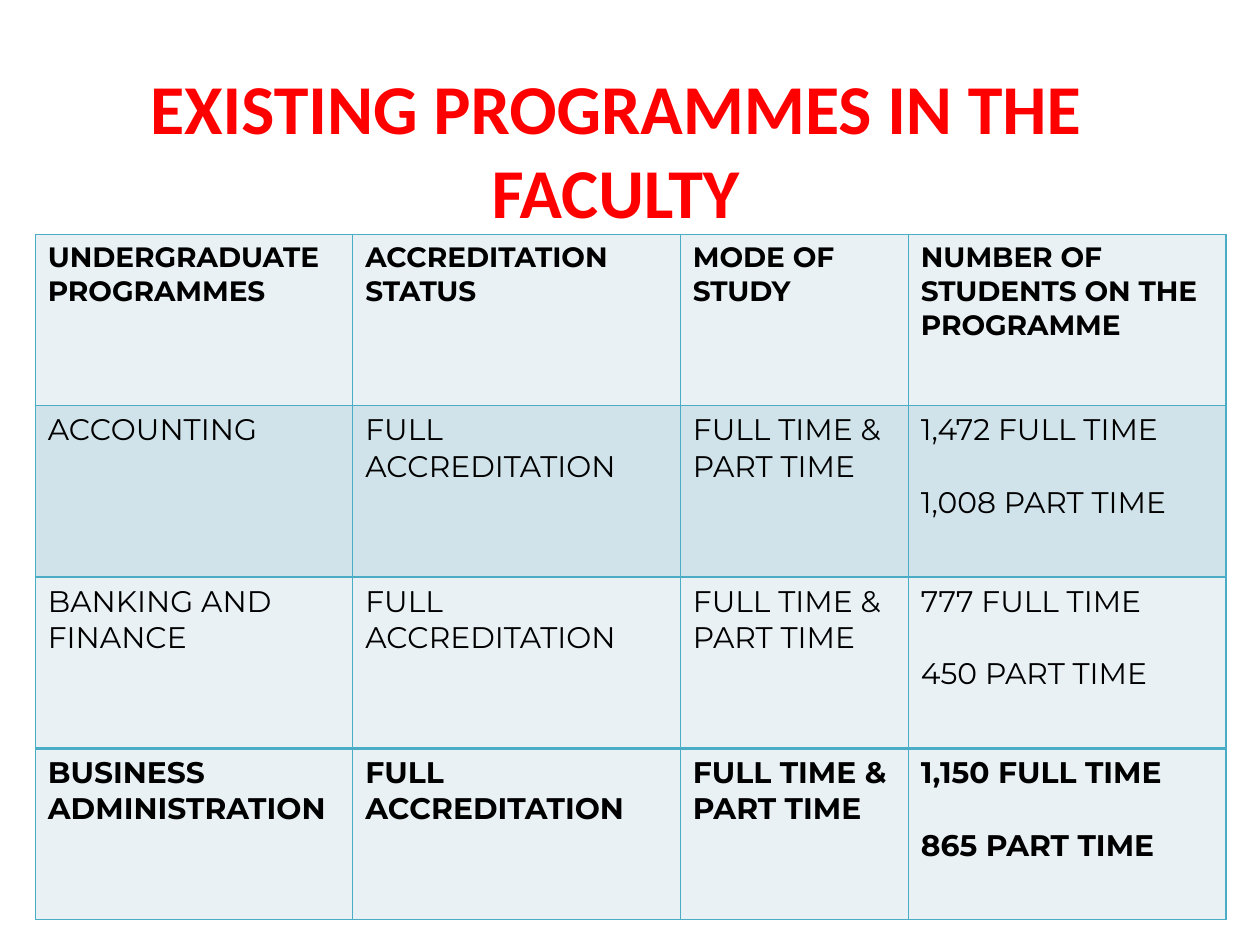
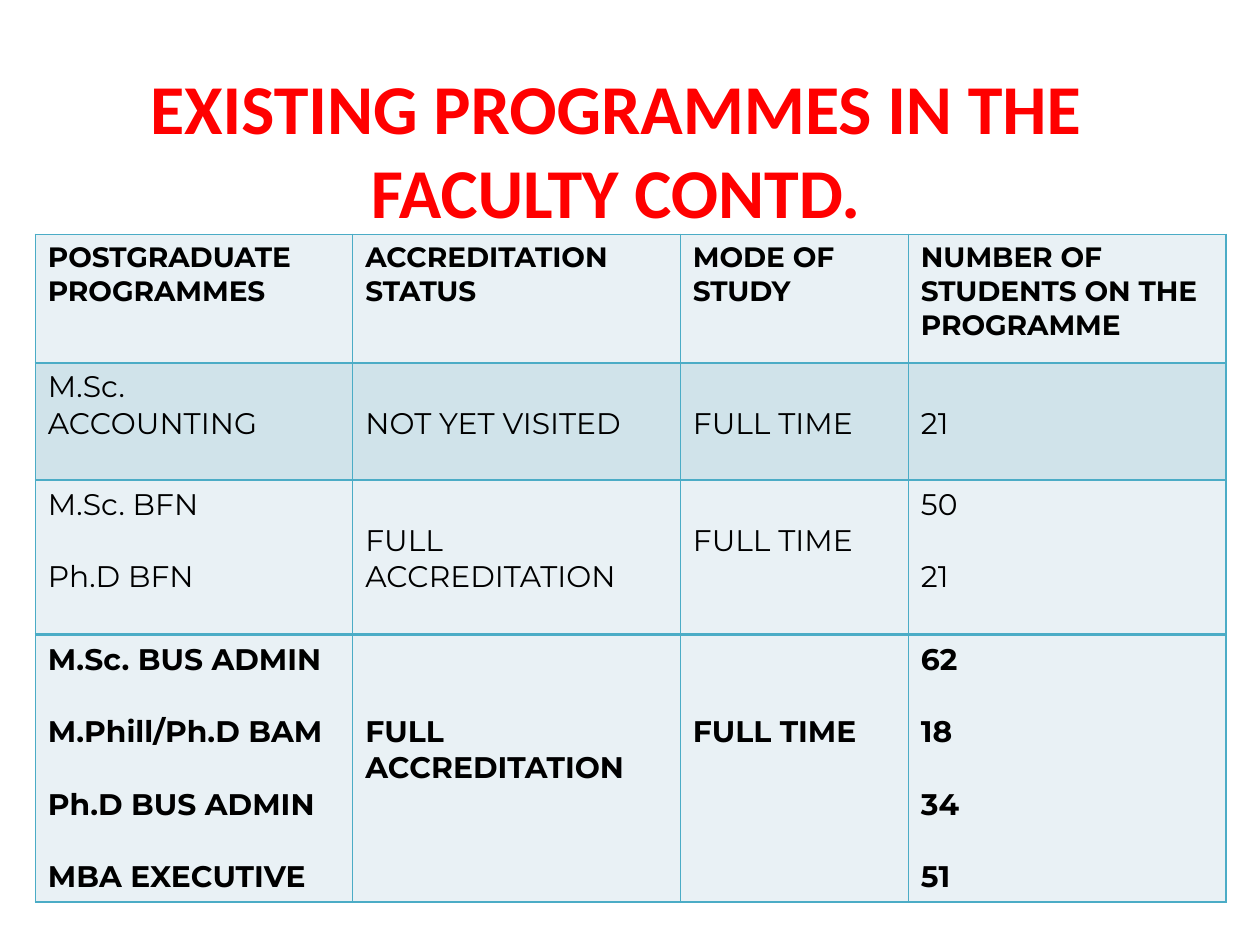
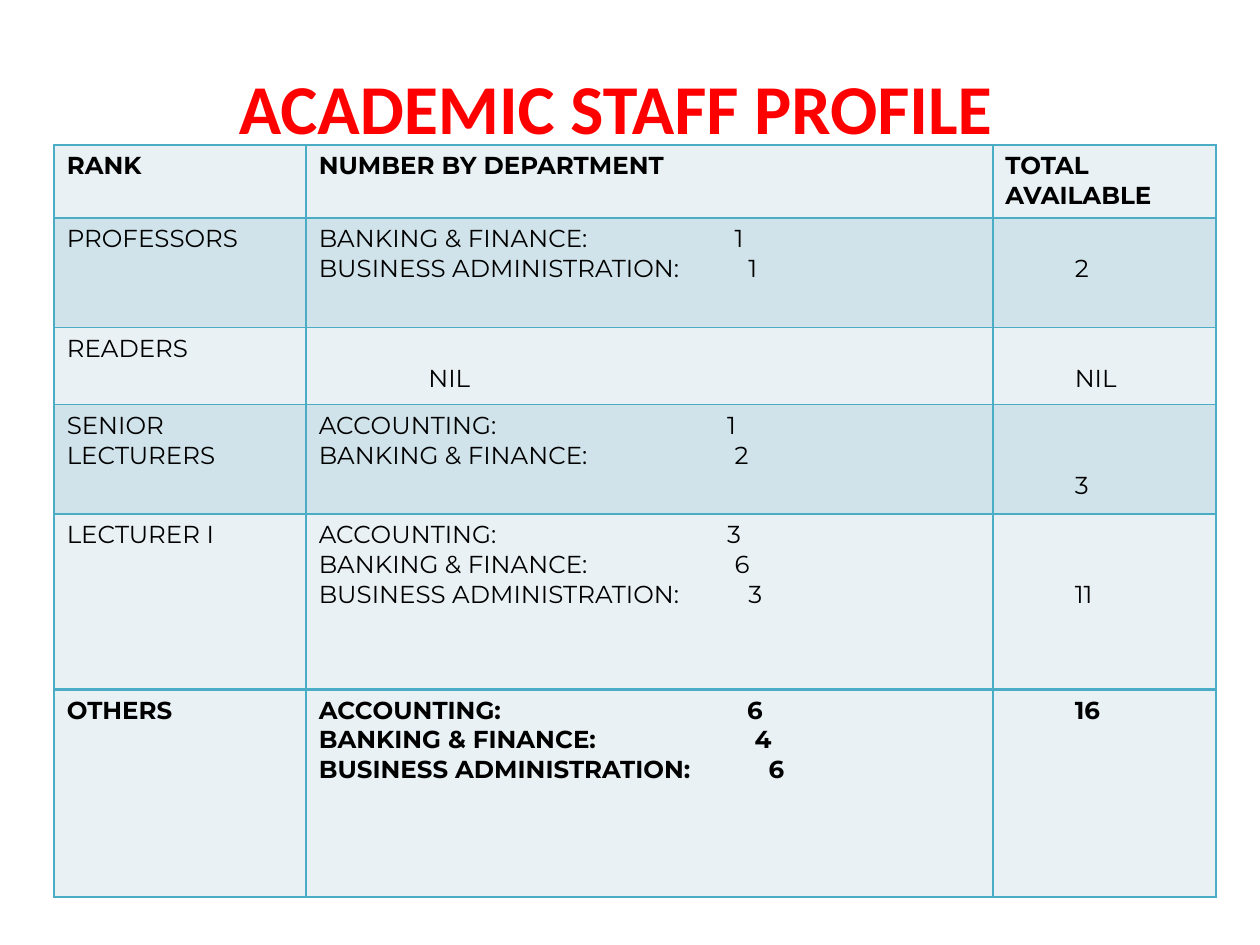
from lxml import etree
from pptx import Presentation
from pptx.dml.color import RGBColor
from pptx.enum import text
from pptx.oxml import ns
from pptx.util import Inches, Pt

RED = RGBColor(0xFF, 0x00, 0x00)
BLACK = RGBColor(0x00, 0x00, 0x00)
PALE = RGBColor(0xE9, 0xF1, 0xF5)
BAND = RGBColor(0xD0, 0xE3, 0xEA)
BORDER = RGBColor(0x4B, 0xAC, 0xC6)

TITLE_FONT = {"name": "Calibri", "size": Pt(40), "bold": True}
LINE_SPACING = 1.22  # line height of the table font, in font sizes
TOTAL_INDENT = 0.55
BOLD_SHIFT = 0.16
NUMBER_TABS = {"ACCOUNTING:": 3.24, "BANKING & FINANCE:": 3.3,
               "BUSINESS ADMINISTRATION:": 3.41}

PROGRAMME_HEADS = ["ACCREDITATION STATUS", "MODE OF STUDY",
                   "NUMBER OF STUDENTS ON THE PROGRAMME"]
PROGRAMME_TABLE = {"left": 0.28, "top": 1.86, "columns": [2.52, 2.6, 1.81, 2.52],
                   "head_size": 16, "size": 17, "gap_lines": 1}
FULL = "FULL ACCREDITATION"
BOTH_MODES = "FULL TIME & PART TIME"

# A cell is its text, or (text, lines left free above, indent in inches).
PAGES = [
    {**PROGRAMME_TABLE,
     "title": "EXISTING PROGRAMMES IN THE FACULTY",
     "heights": [1.36] * 4,
     "rows": [
         ["UNDERGRADUATE PROGRAMMES", *PROGRAMME_HEADS],
         ["ACCOUNTING", FULL, BOTH_MODES, "1,472 FULL TIME\n1,008 PART TIME"],
         ["BANKING AND FINANCE", FULL, BOTH_MODES, "777 FULL TIME\n450 PART TIME"],
         ["BUSINESS ADMINISTRATION", FULL, BOTH_MODES, "1,150 FULL TIME\n865 PART TIME"],
     ]},
    {**PROGRAMME_TABLE,
     "title": "EXISTING PROGRAMMES IN THE FACULTY CONTD.",
     "heights": [1.02, 0.93, 1.23, 2.12],
     "rows": [
         ["POSTGRADUATE PROGRAMMES", *PROGRAMME_HEADS],
         ["M.Sc. ACCOUNTING", ("NOT YET VISITED", 1, 0), ("FULL TIME", 1, 0), ("21", 1, 0)],
         ["M.Sc. BFN\nPh.D BFN", (FULL, 1, 0), ("FULL TIME", 1, 0), "50\n21"],
         ["M.Sc. BUS ADMIN\nM.Phill/Ph.D BAM\nPh.D BUS ADMIN\nMBA EXECUTIVE",
          (FULL, 2, 0), ("FULL TIME", 2, 0), "62\n18\n34\n51"],
     ]},
    {"title": "ACADEMIC STAFF PROFILE",
     "left": 0.43, "top": 1.15, "columns": [2, 5.45, 1.77],
     "head_size": 14, "size": 14, "gap_lines": 0,
     "heights": [0.58, 0.87, 0.61, 0.87, 1.39, 1.65],
     "rows": [
         ["RANK", "NUMBER BY DEPARTMENT", "TOTAL AVAILABLE"],
         ["PROFESSORS", "BANKING & FINANCE:\t1\nBUSINESS ADMINISTRATION:\t1",
          ("2", 1, TOTAL_INDENT)],
         ["READERS", ("NIL", 1, 0.87), ("NIL", 1, TOTAL_INDENT)],
         ["SENIOR LECTURERS", "ACCOUNTING:\t1\nBANKING & FINANCE:\t2",
          ("3", 2, TOTAL_INDENT)],
         ["LECTURER I",
          "ACCOUNTING:\t3\nBANKING & FINANCE:\t6\nBUSINESS ADMINISTRATION:\t3",
          ("11", 2, TOTAL_INDENT)],
         ["OTHERS",
          "ACCOUNTING:\t6\nBANKING & FINANCE:\t4\nBUSINESS ADMINISTRATION:\t6",
          ("16", 0, TOTAL_INDENT)],
     ]},
]


def set_borders(cell, widths):
    """Put solid edges, with widths in points by side, before the cell's fill."""
    properties = cell._tc.get_or_add_tcPr()
    for index, (side, width) in enumerate(widths.items()):
        edge = etree.Element(ns.qn(f"a:ln{side}"), w=str(Pt(width)))
        fill = etree.SubElement(edge, ns.qn("a:solidFill"))
        etree.SubElement(fill, ns.qn("a:srgbClr"), val=str(BORDER))
        properties.insert(index, edge)


def fill_cell(cell, lines, font, gap, tab_shift):
    """Write one paragraph a line, with a tab stop where a number follows."""
    frame = cell.text_frame
    for index, line in enumerate(lines):
        para = frame.add_paragraph() if index else frame.paragraphs[0]
        if index:
            para.space_before = gap
        label, tab, _ = line.partition("\t")
        if tab:
            stops = etree.SubElement(para._p.get_or_add_pPr(), ns.qn("a:tabLst"))
            position = Inches(NUMBER_TABS[label] + tab_shift)
            etree.SubElement(stops, ns.qn("a:tab"), pos=str(position), algn="l")
        span = para.add_run()
        span.text = line
        for name, value in font.items():
            setattr(span.font, name, value)
        span.font.color.rgb = BLACK


deck = Presentation()
deck.slide_width, deck.slide_height = Inches(10), Inches(7.5)

for content in PAGES:
    page = deck.slides.add_slide(deck.slide_layouts[5])
    title = page.shapes.title
    title.left, title.top = Inches(0.2), Inches(0.46)
    title.width, title.height = Inches(9.37), Inches(1.4)
    frame = title.text_frame
    frame.text = content["title"]
    frame.word_wrap = True
    frame.auto_size = text.MSO_AUTO_SIZE.NONE
    frame.vertical_anchor = text.MSO_ANCHOR.TOP
    para = frame.paragraphs[0]
    para.alignment = text.PP_ALIGN.CENTER
    for name, value in TITLE_FONT.items():
        setattr(para.runs[0].font, name, value)
    para.runs[0].font.color.rgb = RED

    rows, columns, heights = content["rows"], content["columns"], content["heights"]
    table = page.shapes.add_table(
        len(rows), len(columns), Inches(content["left"]), Inches(content["top"]),
        Inches(sum(columns)), Inches(sum(heights))).table
    table.first_row = table.horz_banding = False
    for column, width in zip(table.columns, columns):
        column.width = Inches(width)
    for row, height in zip(table.rows, heights):
        row.height = Inches(height)

    last = len(rows) - 1
    for r, row in enumerate(rows):
        size = content["size"] if r else content["head_size"]
        line_height = size * LINE_SPACING
        font = {"name": "Montserrat", "size": Pt(size), "bold": r in (0, last)}
        widths = {"L": 1, "R": 1, "T": 2 if r == last else 1,
                  "B": 2 if r == last - 1 else 1}
        for c, entry in enumerate(row):
            words, free_lines, indent = entry if isinstance(entry, tuple) else (entry, 0, 0)
            cell = table.cell(r, c)
            cell.fill.solid()
            cell.fill.fore_color.rgb = BAND if r % 2 and r != last else PALE
            set_borders(cell, widths)
            cell.margin_left = Inches(0.1 + indent)
            cell.margin_top = Inches(0.05) + Pt(free_lines * line_height)
            fill_cell(cell, words.split("\n"), font,
                      Pt(content["gap_lines"] * line_height),
                      BOLD_SHIFT if r == last else 0)

deck.save("out.pptx")
